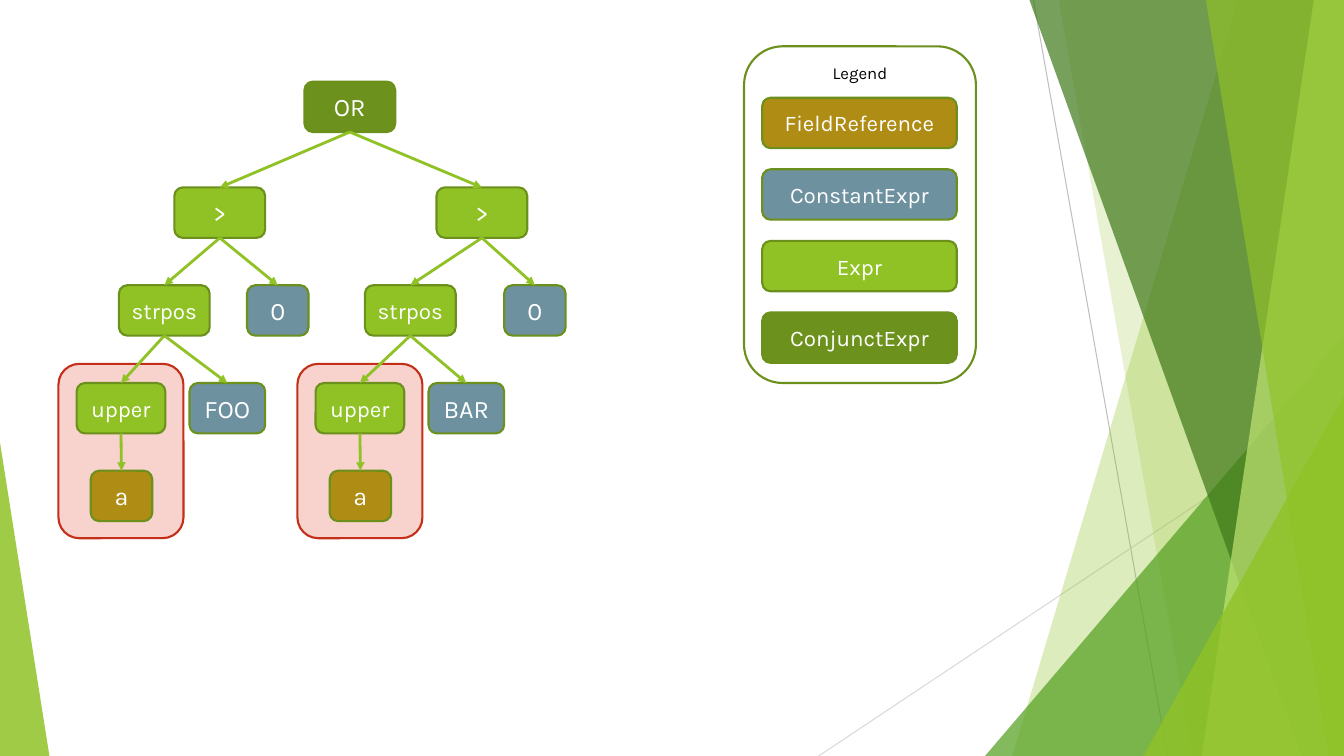
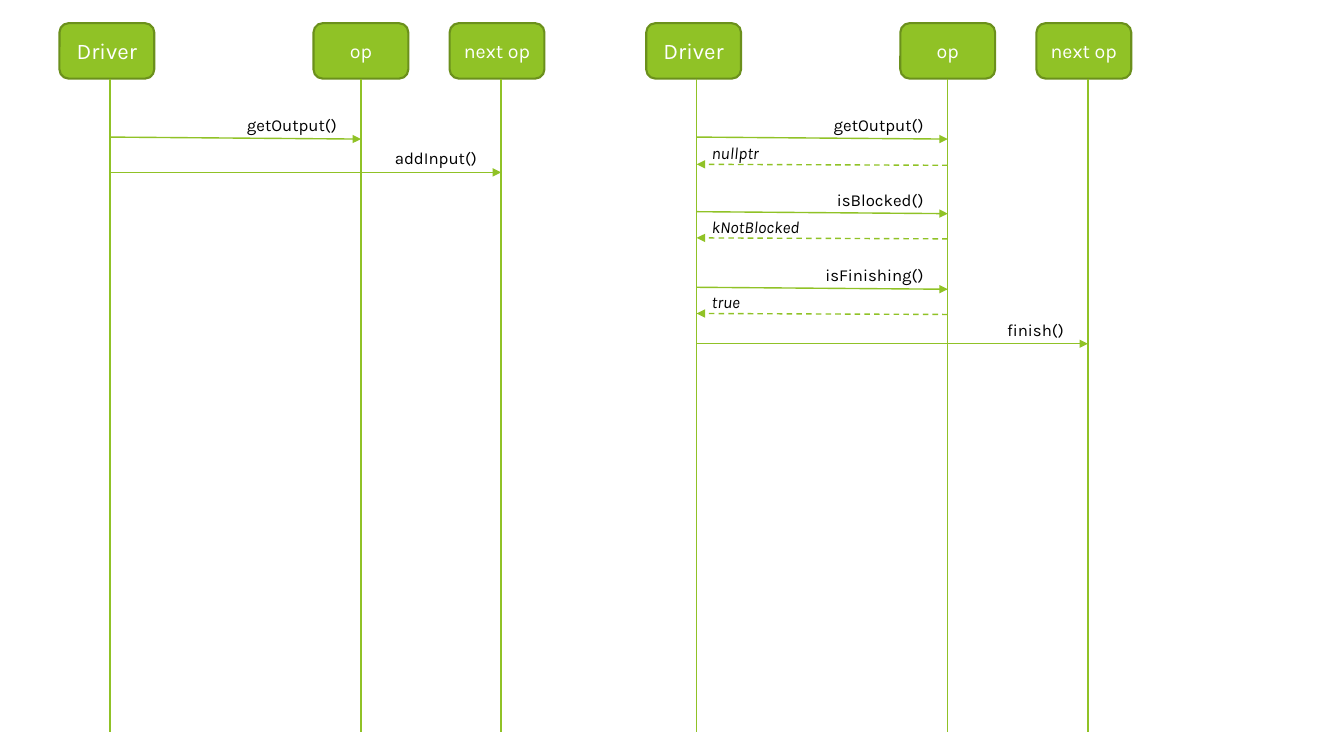
from dataclasses import dataclass

import lxml.etree
import pptx
import pptx.dml.color
import pptx.enum.dml
import pptx.enum.shapes
import pptx.enum.text
import pptx.oxml.ns
import pptx.shapes.autoshape
import pptx.shapes.connector
import pptx.slide
import pptx.util

Inches = pptx.util.Inches
Pt = pptx.util.Pt
qn = pptx.oxml.ns.qn
Preset = pptx.enum.shapes.MSO_SHAPE
Align = pptx.enum.text.PP_ALIGN
Anchor = pptx.enum.text.MSO_ANCHOR
Slide = pptx.slide.Slide
Shape = pptx.shapes.autoshape.Shape
Connector = pptx.shapes.connector.Connector

SLIDE_W, SLIDE_H = 13.33, 7.5
FONT = "Karla"
BOTTOM, TOP = 2, 0
COLORS = {
    "text": "000000",
    "white": "FFFFFF",
    "expr": "90C226",
    "conjunct": "6C921D",
    "constant": "6E91A0",
    "field": "AF8C14",
    "border": "6B901C",
    "region": "F8D2CC",
    "region_border": "C42F1A",
    "leaf": "54A021",
    "forest": "3F7819",
    "lime": "C0E474",
    "gray": "BFBFBF",
    "light_gray": "D9D9D9",
}


@dataclass(frozen=True)
class Shard:
    top: float
    bottom: float
    color: str
    alpha: int


@dataclass(frozen=True)
class Peak:
    left: float
    top: float
    width: float
    apex: float
    color: str
    alpha: int


@dataclass(frozen=True)
class Branch:
    comparison: float
    strpos: float
    zero: float
    upper: float
    literal: str


@dataclass(frozen=True)
class Lifeline:
    label: str
    left: float
    x: float
    size: int


@dataclass(frozen=True)
class Call:
    label: str
    target: str
    y: float
    reply: str = ""
    reply_y: float = 0
    reply_w: float = 1.25


BACKDROP = [
    Shard(12.28, 10.04, "expr", 30),
    Shard(10.5, 11.83, "expr", 20),
    Peak(9.77, 3.33, 3.56, 1, "leaf", 72),
    Shard(10.21, 12.91, "forest", 70),
    Shard(13.03, 11.92, "lime", 70),
    Shard(11.96, 13.18, "expr", 65),
    Peak(11.34, 3.93, 1.99, 1, "expr", 80),
    Peak(0, 4.39, 0.49, 0, "expr", 85),
]
BRANCHES = [
    Branch(1.73, 1.18, 2.45, 0.76, "FOO"),
    Branch(4.33, 3.62, 5, 3.13, "BAR"),
]
LEGEND = [
    ("FieldReference", "field"),
    ("ConstantExpr", "constant"),
    ("Expr", "expr"),
    ("ConjunctExpr", "conjunct"),
]
LIFELINES = [
    Lifeline("Driver", 0.59, 1.09, 16),
    Lifeline("op", 3.11, 3.58, 14),
    Lifeline("next op", 4.46, 4.97, 14),
]
SEQUENCES = [
    (0, [Call("getOutput()", "op", 1.38), Call("addInput()", "next op", 1.71)]),
    (5.82, [
        Call("getOutput()", "op", 1.38, "nullptr", 1.63, 0.8),
        Call("isBlocked()", "op", 2.12, "kNotBlocked", 2.36),
        Call("isFinishing()", "op", 2.87, "true", 3.11),
        Call("finish()", "next op", 3.41),
    ]),
]


def rgb(color: str) -> pptx.dml.color.RGBColor:
    return pptx.dml.color.RGBColor.from_string(COLORS[color])


def write(sp: Shape, text: str, size: int, color: str, align: Align,
          italic: bool = False) -> None:
    p = sp.text_frame.paragraphs[0]
    p.alignment = align
    r = p.add_run()
    r.text = text
    r.font.name = FONT
    r.font.size = Pt(size)
    r.font.italic = italic
    r.font.color.rgb = rgb(color)


def add_box(slide: Slide, left: float, top: float, width: float, height: float,
            fill: str | None, border: str = "border") -> Shape:
    sp = slide.shapes.add_shape(Preset.ROUNDED_RECTANGLE, Inches(left),
                                Inches(top), Inches(width), Inches(height))
    sp.shadow.inherit = False
    if fill:
        sp.fill.solid()
        sp.fill.fore_color.rgb = rgb(fill)
    else:
        sp.fill.background()
    sp.line.color.rgb = rgb(border)
    sp.line.width = Pt(1.5)
    return sp


def add_node(slide: Slide, text: str, left: float, top: float, fill: str,
             width: float = 0.9, height: float = 0.5, size: int = 18) -> Shape:
    sp = add_box(slide, left, top, width, height, fill)
    tf = sp.text_frame
    tf.word_wrap = True
    tf.margin_left = tf.margin_right = 0
    tf.vertical_anchor = Anchor.MIDDLE
    write(sp, text, size, "white", Align.CENTER)
    return sp


def add_line(slide: Slide, x1: float, y1: float, x2: float, y2: float,
             color: str = "expr", width: float = 1, arrow: bool = False,
             dashed: bool = False) -> Connector:
    line = slide.shapes.add_connector(pptx.enum.shapes.MSO_CONNECTOR.STRAIGHT,
                                      Inches(x1), Inches(y1), Inches(x2), Inches(y2))
    line.line.color.rgb = rgb(color)
    line.line.width = Pt(width)
    if dashed:
        line.line.dash_style = pptx.enum.dml.MSO_LINE.DASH
    props = line._element.spPr
    if arrow:
        lxml.etree.SubElement(props.find(qn("a:ln")), qn("a:tailEnd"), type="triangle")
    lxml.etree.SubElement(props, qn("a:effectLst"))
    return line


def link(slide: Slide, parent: Shape, child: Shape) -> None:
    line = add_line(slide, 0, 0, 0, 0, width=2, arrow=True)
    line.begin_connect(parent, BOTTOM)
    line.end_connect(child, TOP)


def add_label(slide: Slide, text: str, left: float, top: float, width: float,
              align: Align, italic: bool = False) -> None:
    sp = slide.shapes.add_textbox(Inches(left), Inches(top), Inches(width), Inches(0.3))
    sp.text_frame.word_wrap = True
    sp.text_frame.auto_size = pptx.enum.text.MSO_AUTO_SIZE.SHAPE_TO_FIT_TEXT
    write(sp, text, 12, "text", align, italic)


def add_facet(slide: Slide, facet: Shard | Peak) -> None:
    if isinstance(facet, Shard):
        builder = slide.shapes.build_freeform(Inches(facet.top), 0)
        corners = [(SLIDE_W, 0), (SLIDE_W, SLIDE_H), (facet.bottom, SLIDE_H)]
        builder.add_line_segments([(Inches(x), Inches(y)) for x, y in corners])
        sp = builder.convert_to_shape()
    else:
        sp = slide.shapes.add_shape(Preset.ISOSCELES_TRIANGLE, Inches(facet.left),
                                    Inches(facet.top), Inches(facet.width),
                                    Inches(SLIDE_H - facet.top))
        sp.adjustments[0] = facet.apex
    sp.shadow.inherit = False
    sp.fill.solid()
    sp.fill.fore_color.rgb = rgb(facet.color)
    sp.line.fill.background()
    color = sp._element.spPr.find(f"{qn('a:solidFill')}/{qn('a:srgbClr')}")
    lxml.etree.SubElement(color, qn("a:alpha"), val=str(facet.alpha * 1000))


def add_backdrop(slide: Slide) -> None:
    add_line(slide, 10.25, 0, 11.58, SLIDE_H, "gray", 0.75)
    add_line(slide, SLIDE_W, 4.03, 8.12, SLIDE_H, "light_gray", 0.75)
    for facet in BACKDROP:
        add_facet(slide, facet)


def add_branch(slide: Slide, root: Shape, branch: Branch) -> None:
    add_box(slide, branch.upper - 0.18, 3.61, 1.24, 1.73, "region", "region_border")
    comparison = add_node(slide, ">", branch.comparison, 1.86, "expr")
    strpos = add_node(slide, "strpos", branch.strpos, 2.83, "expr", size=16)
    zero = add_node(slide, "0", branch.zero, 2.83, "constant", 0.61)
    upper = add_node(slide, "upper", branch.upper, 3.8, "expr", 0.88, size=16)
    literal = add_node(slide, branch.literal, branch.upper + 1.12, 3.8, "constant", 0.75)
    field = add_node(slide, "a", branch.upper + 0.14, 4.67, "field", 0.61)
    for parent, child in [(root, comparison), (comparison, strpos), (comparison, zero),
                          (strpos, upper), (strpos, literal), (upper, field)]:
        link(slide, parent, child)


def add_legend(slide: Slide) -> None:
    for i, (text, fill) in enumerate(LEGEND):
        add_node(slide, text, 7.56, 0.97 + 0.71 * i, fill, 1.93, size=16)
    sp = add_box(slide, 7.38, 0.46, 2.3, 3.34, None)
    sp.text_frame.vertical_anchor = Anchor.TOP
    write(sp, "Legend", 12, "text", Align.CENTER)


def add_sequence(slide: Slide, shift: float, calls: list[Call]) -> None:
    xs = {}
    for lifeline in LIFELINES:
        x = xs[lifeline.label] = lifeline.x + shift
        box = add_node(slide, lifeline.label, lifeline.left + shift, 0.23, "expr",
                       0.94, 0.55, lifeline.size)
        line = add_line(slide, x, 0.78, x, 7.26)
        if lifeline.label == "op":
            line.begin_connect(box, BOTTOM)
    driver = xs["Driver"]
    for call in calls:
        target = xs[call.target]
        slope = 0.02 if call.target == "op" else 0
        add_line(slide, driver, call.y - slope, target, call.y, arrow=True)
        add_label(slide, call.label, target - 1.39, call.y - 0.29, 1.25, Align.RIGHT)
        if call.reply:
            add_line(slide, target, call.reply_y + 0.01, driver, call.reply_y,
                     arrow=True, dashed=True)
            add_label(slide, call.reply, driver + 0.05, call.reply_y - 0.26,
                      call.reply_w, Align.LEFT, italic=True)


def main() -> None:
    prs = pptx.Presentation()
    prs.slide_width, prs.slide_height = Inches(SLIDE_W), Inches(SLIDE_H)
    blank = prs.slide_layouts[6]

    tree = prs.slides.add_slide(blank)
    add_backdrop(tree)
    root = add_node(tree, "OR", 3.02, 0.81, "conjunct")
    for branch in BRANCHES:
        add_branch(tree, root, branch)
    add_legend(tree)

    sequences = prs.slides.add_slide(blank)
    for shift, calls in SEQUENCES:
        add_sequence(sequences, shift, calls)

    prs.save("out.pptx")


if __name__ == "__main__":
    main()
